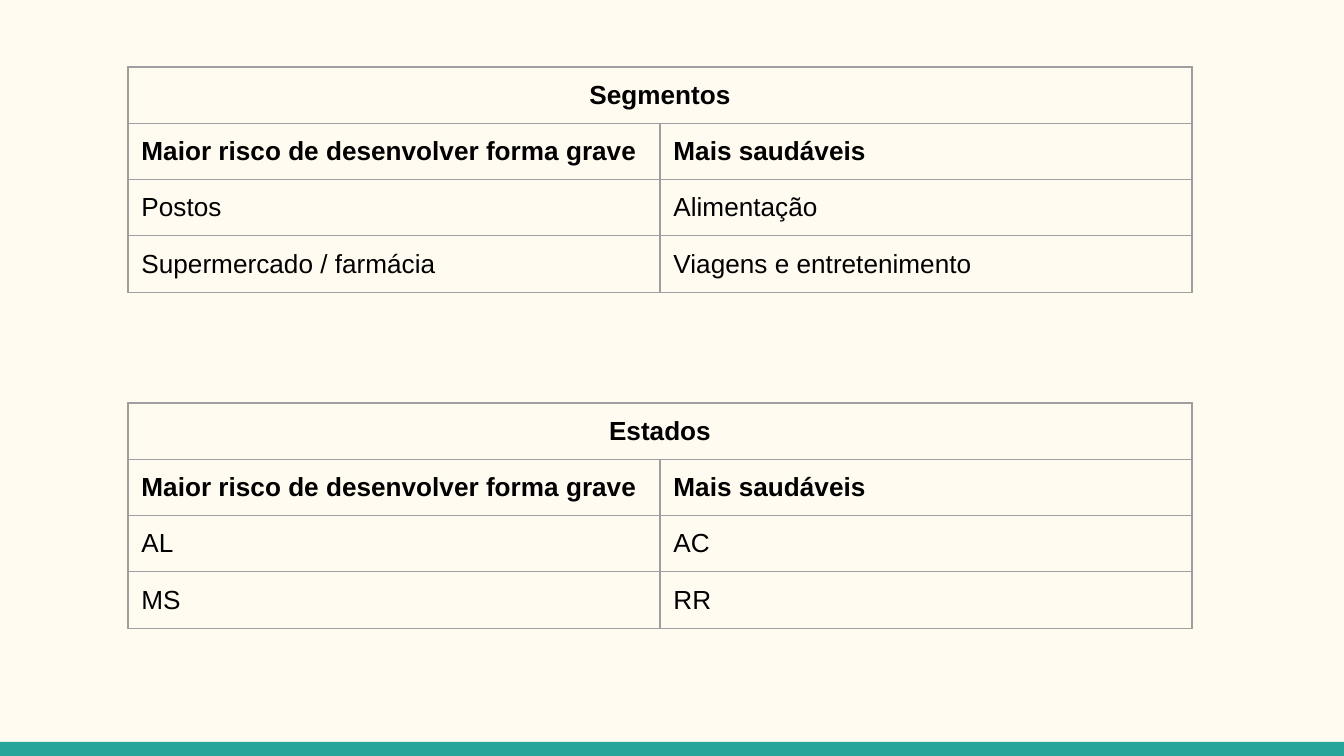
from lxml import etree
from pptx import Presentation
from pptx import util as u
from pptx.dml.color import RGBColor
from pptx.enum import shapes, text
from pptx.oxml import ns

PX = 914400 / 134.4  # EMU in one px
WIDTH, HEIGHT = 1344, 756
COLORS = {"back": "FFFBF0", "bar": "26A69A", "rule": "9E9E9E", "text": "000000"}
HEADS = ("Maior risco de desenvolver forma grave", "Mais saudáveis")


def px(count):
    return u.Emu(round(count * PX))


def color(name):
    return RGBColor.from_string(COLORS[name])


def add_bar(slide, top, height):
    bar = slide.shapes.add_shape(
        shapes.MSO_SHAPE.RECTANGLE, 0, px(top), px(WIDTH), px(height))
    bar.shadow.inherit = False
    bar.fill.solid()
    bar.fill.fore_color.rgb = color("bar")
    bar.line.fill.background()


def add_rules(cell):
    props = cell._tc.get_or_add_tcPr()
    for side in ("lnL", "lnR", "lnT", "lnB"):
        line = etree.SubElement(props, ns.qn(f"a:{side}"), w=str(u.Pt(0.75)))
        fill = etree.SubElement(line, ns.qn("a:solidFill"))
        etree.SubElement(fill, ns.qn("a:srgbClr"), val=COLORS["rule"])


def style_cell(cell, bold):
    cell.margin_left = cell.margin_right = u.Inches(0.1)
    cell.margin_top = cell.margin_bottom = u.Inches(0.1)
    add_rules(cell)
    cell.fill.background()
    font = cell.text_frame.paragraphs[0].font
    font.name, font.size, font.bold = "Arial", u.Pt(14), bold
    font.color.rgb = color("text")


def add_grid(slide, top, title, pairs):
    rows = [(title, ""), HEADS, *pairs]
    left, col, row = 128, 532, 56
    grid = slide.shapes.add_table(
        len(rows), 2, px(left), px(top), px(2 * col), px(row * len(rows))).table
    grid.first_row = grid.horz_banding = False
    for r, words in enumerate(rows):
        for c, word in enumerate(words):
            cell = grid.cell(r, c)
            cell.text = word
            style_cell(cell, bold=r < 2)
    # Title spans both columns
    head = grid.cell(0, 0)
    head.merge(grid.cell(0, 1))
    head.text_frame.paragraphs[0].alignment = text.PP_ALIGN.CENTER


def main():
    deck = Presentation()
    deck.slide_width, deck.slide_height = px(WIDTH), px(HEIGHT)
    slide = deck.slides.add_slide(deck.slide_layouts[6])

    # Background and bottom bar
    slide.background.fill.solid()
    slide.background.fill.fore_color.rgb = color("back")
    add_bar(slide, 742, 14)

    # Comparison tables
    add_grid(slide, 67, "Segmentos", [
        ("Postos", "Alimentação"),
        ("Supermercado / farmácia", "Viagens e entretenimento"),
    ])
    add_grid(slide, 403, "Estados", [("AL", "AC"), ("MS", "RR")])

    deck.save("out.pptx")


if __name__ == "__main__":
    main()
